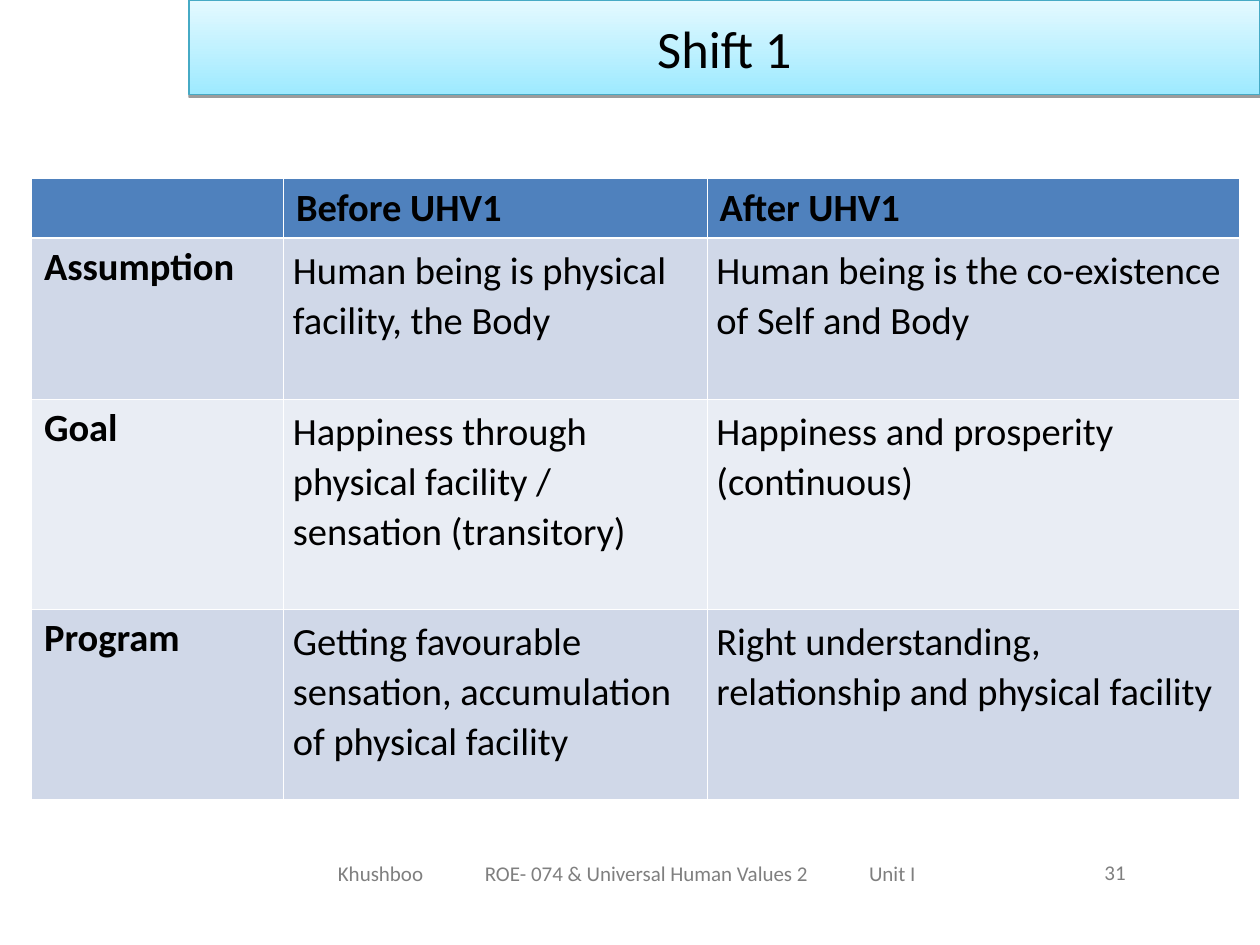
from lxml.etree import SubElement as Sub
from pptx import Presentation
from pptx.dml.color import RGBColor as RGB
from pptx.enum.shapes import MSO_SHAPE as Shape
from pptx.enum.text import MSO_ANCHOR as Anchor, PP_ALIGN as Align
from pptx.oxml import parse_xml
from pptx.oxml.ns import nsdecls, qn
from pptx.util import Pt

BLACK = RGB(0, 0, 0)
WHITE = RGB(0xFF, 0xFF, 0xFF)
GREY = RGB(0x7F, 0x7F, 0x7F)
BLUE = RGB(0x4F, 0x81, 0xBD)
BAND = RGB(0xD0, 0xD8, 0xE8)
PALE = RGB(0xE9, 0xED, 0xF4)
AQUA = RGB(0x9E, 0xEA, 0xFF)
ICE = RGB(0xE4, 0xF9, 0xFF)
TEAL = RGB(0x46, 0xAA, 0xC5)


def write(frame, text, size=22, color=BLACK, bold=False, align=Align.LEFT,
          space=None, tabs=()):
    para = frame.paragraphs[0]
    para.text = text
    para.alignment = align
    if space:
        para.line_spacing = space
    if tabs:
        stops = Sub(para._p.get_or_add_pPr(), qn("a:tabLst"))
        for stop in tabs:
            Sub(stops, qn("a:tab"), pos=str(Pt(stop)), algn="l")
    font = para.font
    font.name, font.size, font.bold = "Calibri", Pt(size), bold
    font.color.rgb = color


class Deck:
    def __init__(self, slide, line=0.45, rule=1.47):
        self.slide = slide
        self.line, self.rule = line, rule

    def title(self, text, *box):
        bar = self.slide.shapes.add_shape(Shape.RECTANGLE, *map(Pt, box))
        bar.fill.gradient()
        bar.fill.gradient_angle = 90
        for stop, color in zip(bar.fill.gradient_stops, (AQUA, ICE)):
            stop.color.rgb = color
        bar.line.color.rgb = TEAL
        bar.line.width = Pt(0.75)
        # Hard shadow straight below
        bar.shadow.inherit = False
        glow = bar._element.spPr.find(qn("a:effectLst"))
        drop = Sub(glow, qn("a:outerShdw"), blurRad="0", dist=str(Pt(1.6)),
                   dir="5400000", rotWithShape="0")
        tone = Sub(drop, qn("a:srgbClr"), val=str(BLACK))
        Sub(tone, qn("a:alpha"), val="38000")
        bar.text_frame.vertical_anchor = Anchor.MIDDLE
        write(bar.text_frame, text, size=30, align=Align.CENTER)

    def label(self, text, *box, **style):
        frame = self.slide.shapes.add_textbox(*map(Pt, box)).text_frame
        frame.word_wrap = True
        write(frame, text, size=12, color=GREY, **style)

    def border(self, cell, row):
        props = cell._tc.get_or_add_tcPr()
        wide = {"T": row == 1, "B": row == 0}
        for spot, side in enumerate("LRTB"):
            width = Pt(self.rule if wide.get(side) else self.line)
            props.insert(spot, parse_xml(
                f'<a:ln{side} {nsdecls("a")} w="{width}"><a:solidFill>'
                f'<a:srgbClr val="{WHITE}"/></a:solidFill></a:ln{side}>'))

    def table(self, rows, left, top, widths, heights):
        grid = self.slide.shapes.add_table(
            len(rows), len(widths), Pt(left), Pt(top),
            Pt(sum(widths)), Pt(sum(heights))).table
        grid.first_row = grid.horz_banding = False
        for col, width in zip(grid.columns, widths):
            col.width = Pt(width)
        for r, (row, height) in enumerate(zip(rows, heights)):
            grid.rows[r].height = Pt(height)
            for c, text in enumerate(row):
                cell = grid.cell(r, c)
                cell.fill.solid()
                cell.fill.fore_color.rgb = (
                    BLUE if r == 0 else BAND if r % 2 else PALE)
                self.border(cell, r)
                head = r == 0 or c == 0
                if not head:
                    cell.margin_left = cell.margin_right = Pt(5.4)
                if text:
                    write(cell.text_frame, text, bold=head,
                          space=None if head else 1.07)


def main():
    show = Presentation()
    show.slide_width, show.slide_height = Pt(720), Pt(540)
    deck = Deck(show.slides.add_slide(show.slide_layouts[6]))

    # Comparison table
    rows = [
        ("", "Before UHV1", "After UHV1"),
        ("Assumption", "Human being is physical facility, the Body",
         "Human being is the co-existence of Self and Body"),
        ("Goal",
         "Happiness through physical facility / sensation (transitory)",
         "Happiness and prosperity (continuous)"),
        ("Program",
         "Getting favourable sensation, accumulation of physical facility",
         "Right understanding, relationship and physical facility"),
    ]
    deck.table(rows, 18, 102, (144, 242, 304), (34, 92, 120, 109))

    # Title bar
    deck.title("Shift 1", 108, 0, 612, 54)

    # Footer and page number
    deck.label("Khushboo\tROE- 074 & Universal Human Values 2\tUnit I",
               186, 488, 396, 29, tabs=(84, 303.5))
    deck.label("31", 624, 487.5, 168, 29)

    show.save("out.pptx")


if __name__ == "__main__":
    main()
